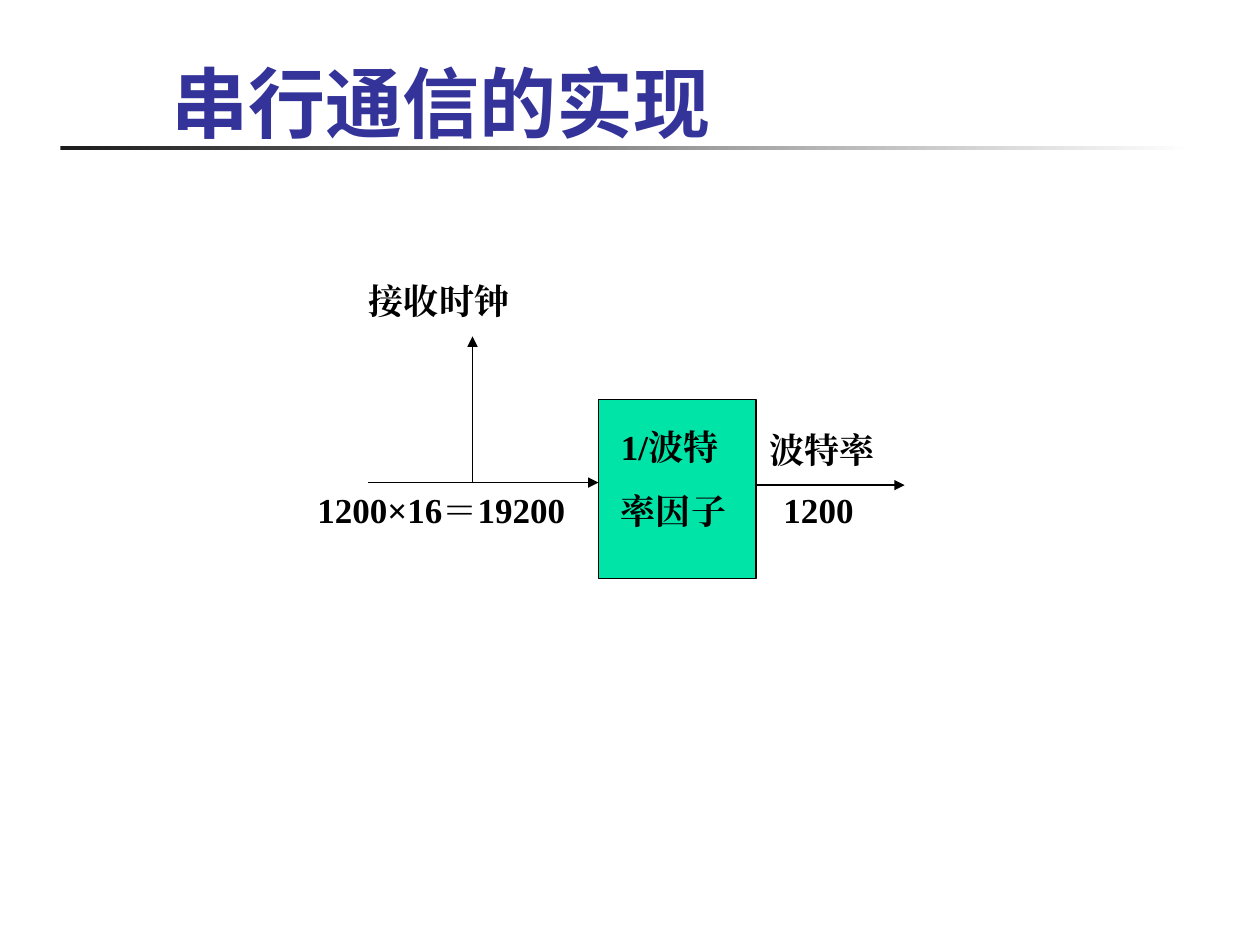
from pptx import Presentation
from pptx.dml.color import RGBColor
from pptx.enum.lang import MSO_LANGUAGE_ID as Language
from pptx.enum.shapes import MSO_CONNECTOR as Connector, MSO_SHAPE as Shape
from pptx.enum.text import MSO_ANCHOR as Anchor, PP_ALIGN as Align
from pptx.oxml.ns import qn
from pptx.util import Inches, Pt
from lxml import etree

BLACK = RGBColor(0x00, 0x00, 0x00)
WHITE = RGBColor(0xFF, 0xFF, 0xFF)
CHARCOAL = RGBColor(0x1C, 0x1C, 0x1C)
NAVY = RGBColor(0x33, 0x33, 0x99)
GREEN = RGBColor(0x00, 0xE4, 0xA8)


def write_text(frame, text, font="Times New Roman", size=20, color=BLACK,
               anchor=Anchor.TOP, gap=12.5, tab=None):
    frame.word_wrap = True
    frame.vertical_anchor = anchor
    for index, line in enumerate(text.split("\n")):
        para = frame.add_paragraph() if index else frame.paragraphs[0]
        para.alignment = Align.LEFT
        if index:
            para.space_before = Pt(gap)
        if tab:
            tabs = etree.SubElement(para._p.get_or_add_pPr(), qn("a:tabLst"))
            etree.SubElement(tabs, qn("a:tab"), pos=str(Inches(tab)), algn="l")
        span = para.add_run()
        span.text = line
        span.font.name = font
        span.font.size = Pt(size)
        span.font.bold = True
        span.font.color.rgb = color
        span.font.language_id = Language.SIMPLIFIED_CHINESE
        latin = span._r.rPr.find(qn("a:latin"))
        latin.addnext(latin.makeelement(qn("a:ea"), {"typeface": font}))


def add_label(page, left, top, width, height, text, **style):
    box = page.shapes.add_textbox(
        Inches(left), Inches(top), Inches(width), Inches(height))
    write_text(box.text_frame, text, **style)


def add_rectangle(page, left, top, width, height):
    box = page.shapes.add_shape(
        Shape.RECTANGLE, Inches(left), Inches(top), Inches(width), Inches(height))
    box.shadow.inherit = False
    return box


def add_arrow(page, x1, y1, x2, y2):
    arrow = page.shapes.add_connector(
        Connector.STRAIGHT, Inches(x1), Inches(y1), Inches(x2), Inches(y2))
    arrow.line.color.rgb = BLACK
    arrow.line.width = Pt(0.75)
    etree.SubElement(arrow.line._get_or_add_ln(), qn("a:tailEnd"), type="triangle")
    etree.SubElement(arrow._element.spPr, qn("a:effectLst"))


def add_heading(page, left, top, width, height):
    rule = add_rectangle(page, 0.48, top + 0.94, 9, 0.03)
    rule.line.fill.background()
    rule.fill.gradient()
    rule.fill.gradient_angle = 0
    for stop, color in zip(rule.fill.gradient_stops, (CHARCOAL, WHITE)):
        stop.color.rgb = color
    title = page.shapes.title
    title.left, title.top = Inches(left), Inches(top)
    title.width, title.height = Inches(width), Inches(height)
    write_text(title.text_frame, "串行通信的实现", font="Roboto", size=44,
               color=NAVY, anchor=Anchor.BOTTOM)


def add_divider_diagram(page, left, top, width, height):
    right = left + width
    middle = top + 0.66
    divider = add_rectangle(page, left, top, width, height)
    divider.fill.solid()
    divider.fill.fore_color.rgb = GREEN
    divider.line.color.rgb = BLACK
    divider.line.width = Pt(0.75)
    add_arrow(page, right + 0.01, middle + 0.02, right + 1.18, middle + 0.02)
    add_arrow(page, left - 1.83, middle, left, middle)
    add_arrow(page, left - 1, middle, left - 1, top - 0.5)
    add_label(page, right + 0.01, top + 0.18, 1.17, 0.44, "波特率")
    add_label(page, left + 0.08, top + 0.16, 1.67, 0.94, "1/波特\n率因子")
    add_label(page, left - 1.92, top - 1, 2.5, 0.44, "接收时钟")
    add_label(page, left - 2.33, middle, 5.5, 0.44, "1200×16＝19200\t1200", tab=3.7)


def main():
    deck = Presentation()
    deck.slide_width, deck.slide_height = Inches(10), Inches(7.5)
    page = deck.slides.add_slide(deck.slide_layouts[5])
    add_heading(page, 1.26, 0.22, 8.52, 1)
    add_divider_diagram(page, 4.75, 3.17, 1.25, 1.42)
    deck.save("out.pptx")


if __name__ == "__main__":
    main()
